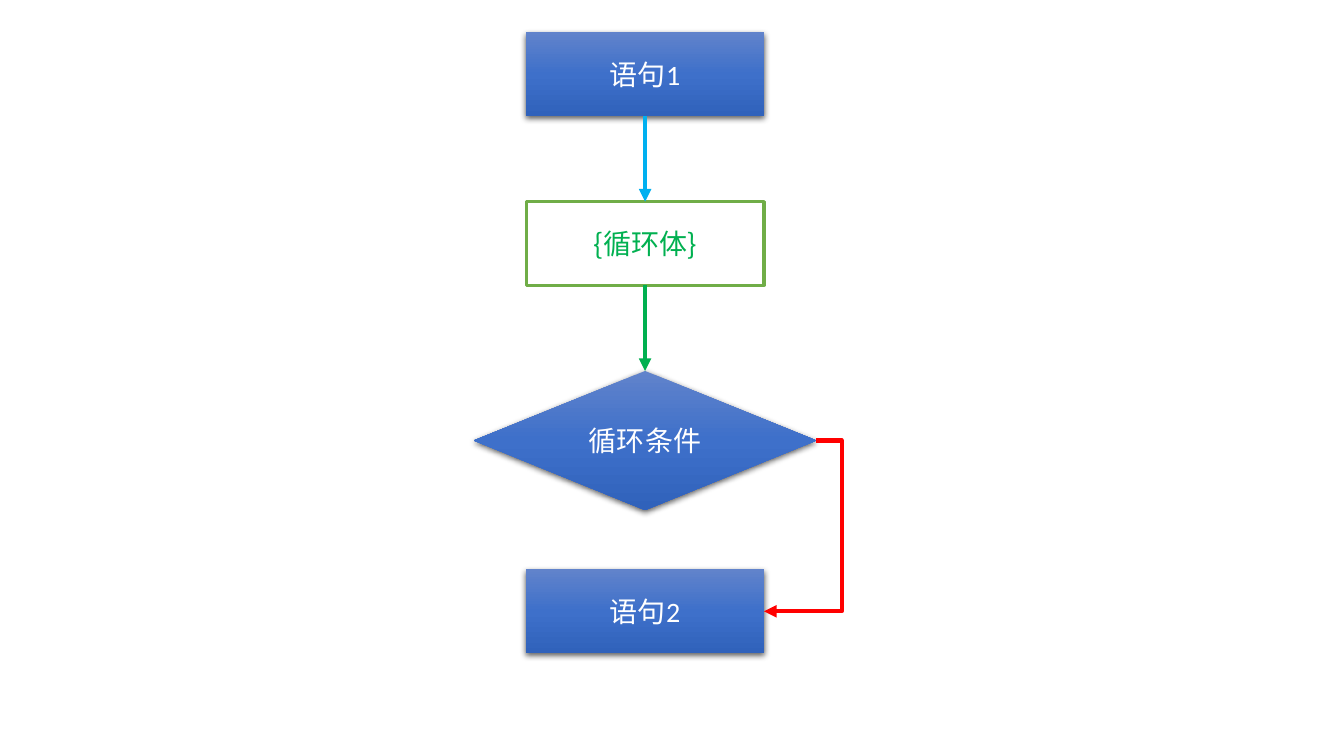
from dataclasses import dataclass

from lxml import etree
from pptx import Presentation
from pptx.dml.color import RGBColor
from pptx.enum.shapes import MSO_CONNECTOR, MSO_SHAPE
from pptx.enum.text import MSO_ANCHOR, PP_ALIGN
from pptx.oxml.ns import qn
from pptx.util import Inches, Pt

RECT, DIAMOND = MSO_SHAPE.RECTANGLE, MSO_SHAPE.DIAMOND
STRAIGHT, ELBOW = MSO_CONNECTOR.STRAIGHT, MSO_CONNECTOR.ELBOW
MIDDLE, CENTER = MSO_ANCHOR.MIDDLE, PP_ALIGN.CENTER
TOP, BOTTOM, RIGHT = 0, 2, 3  # connection sites

SLIDE_W, SLIDE_H = Inches(13.33), Inches(7.5)
CJK_FONT = "Noto Sans CJK SC"
BLUE_STOPS = ((0, "6183CB"), (50, "3E70CA"), (100, "3062BB"))

# Percent of the slide's width or height
AXIS = 48
FIRST_TOP, ROW_PITCH, LAST_TOP = 4.27, 22.4, 75.33
BOX_SIZE, DIAMOND_SIZE = (17.7, 11.07), (25.5, 18.4)


@dataclass
class Step:
    """One flowchart node, centred on the axis."""
    text: str
    top: float
    size: tuple[float, float] = BOX_SIZE
    kind: int = RECT
    font: str = "Calibri"
    color: str = "FFFFFF"
    outline: str = ""
    side_inset: float = 0.1


@dataclass
class Arrow:
    """A connector between two numbered steps."""
    start: int
    start_site: int
    end: int
    end_site: int
    color: str
    kind: int = STRAIGHT
    bend: int = 0


STEPS = [
    Step("语句1", FIRST_TOP),
    Step("{循环体}", FIRST_TOP + ROW_PITCH, font=CJK_FONT, color="00B050",
         outline="70AD47"),
    Step("循环条件", FIRST_TOP + 2 * ROW_PITCH, DIAMOND_SIZE, DIAMOND,
         side_inset=0.04),
    Step("语句2", LAST_TOP),
]
ARROWS = [
    Arrow(0, BOTTOM, 1, TOP, "00B0F0"),
    Arrow(1, BOTTOM, 2, TOP, "00B050"),
    Arrow(2, RIGHT, 3, RIGHT, "FF0000", ELBOW, -48200),
]


def rgb(value):
    """Turn a hex string into a colour."""
    return RGBColor.from_string(value)


def add_xml(parent, tag, **attrs):
    """Append a DrawingML element and return it."""
    return etree.SubElement(parent, qn(tag), attrs)


def paint_blue(sp):
    """Give a shape the blue gradient and a soft shadow below."""
    sp.fill.gradient()
    sp.fill.gradient_angle = 270
    sp_pr = sp.element.spPr
    stops = sp_pr.find(qn("a:gradFill")).find(qn("a:gsLst"))
    for stop in list(stops):
        stops.remove(stop)
    for position, color in BLUE_STOPS:
        stop = add_xml(stops, "a:gs", pos=str(position * 1000))
        add_xml(stop, "a:srgbClr", val=color)
    sp.line.fill.background()
    shadow = add_xml(sp_pr.find(qn("a:effectLst")), "a:outerShdw",
                     blurRad=str(Pt(4.5)), dist=str(Pt(1.5)),
                     dir="5400000", algn="ctr", rotWithShape="0")
    color = add_xml(shadow, "a:srgbClr", val="000000")
    add_xml(color, "a:alpha", val="63000")


def write_text(sp, step: Step):
    """Write a step's centred label."""
    tf = sp.text_frame
    tf.text = step.text
    tf.word_wrap = True
    tf.vertical_anchor = MIDDLE
    tf.margin_left = tf.margin_right = Inches(step.side_inset)
    if step.kind == DIAMOND:
        tf.margin_top = tf.margin_bottom = 0
    p = tf.paragraphs[0]
    p.alignment = CENTER
    r = p.runs[0]
    r.font.size = Pt(20)
    r.font.name = step.font
    r.font.color.rgb = rgb(step.color)
    add_xml(r.font._element, "a:ea", typeface=CJK_FONT)


def draw_step(s, step: Step):
    """Draw one flowchart node and return its shape."""
    width, height = step.size
    sp = s.shapes.add_shape(
        step.kind,
        int(SLIDE_W * (AXIS - width / 2) / 100), int(SLIDE_H * step.top / 100),
        int(SLIDE_W * width / 100), int(SLIDE_H * height / 100))
    sp.shadow.inherit = False
    if step.outline:
        sp.fill.solid()
        sp.fill.fore_color.rgb = rgb("FFFFFF")
        sp.line.color.rgb = rgb(step.outline)
        sp.line.width = Pt(2.25)
    else:
        paint_blue(sp)
    write_text(sp, step)
    return sp


def draw_arrow(s, nodes: list, arrow: Arrow):
    """Connect two nodes with an arrow."""
    start, end = nodes[arrow.start], nodes[arrow.end]
    line = s.shapes.add_connector(
        arrow.kind, start.left + start.width, start.top,
        end.left + end.width, end.top)
    line.begin_connect(start, arrow.start_site)
    line.end_connect(end, arrow.end_site)
    line.line.color.rgb = rgb(arrow.color)
    line.line.width = Pt(3)
    sp_pr = line.element.spPr
    add_xml(sp_pr.find(qn("a:ln")), "a:tailEnd", type="triangle")
    add_xml(sp_pr, "a:effectLst")
    if arrow.bend:
        guides = sp_pr.find(qn("a:prstGeom")).find(qn("a:avLst"))
        add_xml(guides, "a:gd", name="adj1", fmla=f"val {arrow.bend}")


def main():
    """Build the loop flowchart and save it."""
    prs = Presentation()
    prs.slide_width, prs.slide_height = SLIDE_W, SLIDE_H
    s = prs.slides.add_slide(prs.slide_layouts[6])
    nodes = [draw_step(s, step) for step in STEPS]
    for arrow in ARROWS:
        draw_arrow(s, nodes, arrow)
    prs.save("out.pptx")


main()
